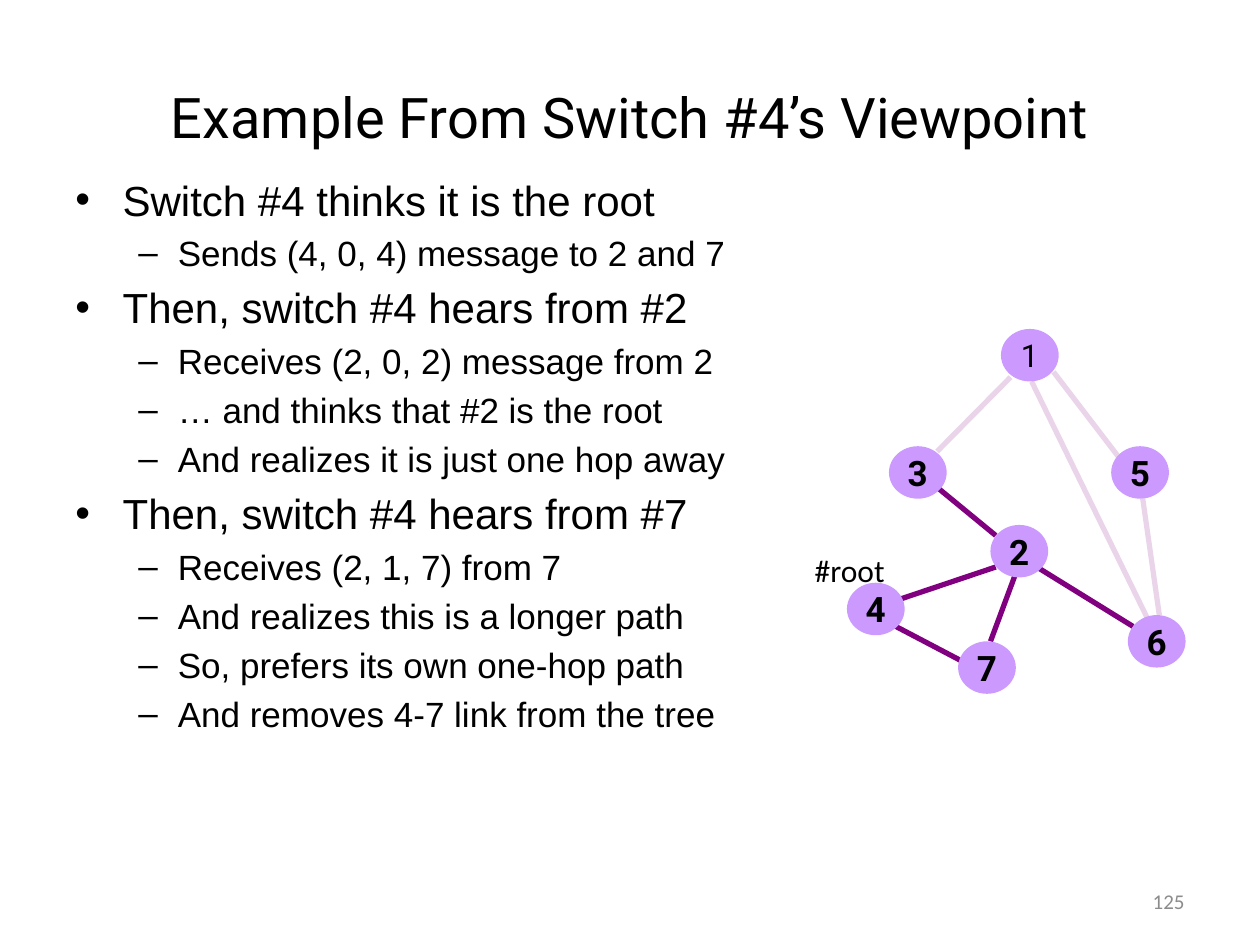
from dataclasses import dataclass

from lxml import etree
from pptx import Presentation
from pptx.dml.color import RGBColor
from pptx.enum.shapes import MSO_CONNECTOR, MSO_SHAPE
from pptx.enum.text import MSO_ANCHOR, PP_ALIGN
from pptx.oxml.ns import qn
from pptx.util import Pt

STRAIGHT = MSO_CONNECTOR.STRAIGHT
OVAL = MSO_SHAPE.OVAL
TOP, MIDDLE = MSO_ANCHOR.TOP, MSO_ANCHOR.MIDDLE
LEFT, CENTER, RIGHT = PP_ALIGN.LEFT, PP_ALIGN.CENTER, PP_ALIGN.RIGHT


@dataclass(frozen=True)
class Theme:
    ink: RGBColor = RGBColor(0x00, 0x00, 0x00)
    muted: RGBColor = RGBColor(0x8C, 0x8C, 0x8C)
    node: RGBColor = RGBColor(0xCC, 0x99, 0xFF)
    link: RGBColor = RGBColor(0x80, 0x00, 0x80)
    heading_font: str = "Roboto"
    body_font: str = "Arial"
    label_font: str = "Calibri"
    title_size: int = 32
    heading_size: int = 24
    detail_size: int = 20
    node_size: int = 20
    label_size: int = 18
    number_size: int = 12


THEME = Theme()


@dataclass(frozen=True)
class Level:
    size: int
    bullet: str
    margin: float
    hanging: float

    @property
    def space_before(self):
        return self.size * 0.2


LEVELS = (Level(THEME.heading_size, "•", 27, 27),
          Level(THEME.detail_size, "–", 58.5, 22.5))

OUTLINE = [
    ("Switch #4 thinks it is the root",
     ["Sends (4, 0, 4) message to 2 and 7"]),
    ("Then, switch #4 hears from #2",
     ["Receives (2, 0, 2) message from 2",
      "… and thinks that #2 is the root",
      "And realizes it is just one hop away"]),
    ("Then, switch #4 hears from #7",
     ["Receives (2, 1, 7) from 7",
      "And realizes this is a longer path",
      "So, prefers its own one-hop path",
      "And removes 4-7 link from the tree"]),
]

# Network geometry in points, relative to the diagram box
NODE_WIDTH, NODE_HEIGHT = 33, 30
NODES = {1: (88, 0), 2: (82, 112), 3: (24, 67), 4: (0, 145),
         5: (151, 67), 6: (160.5, 163.5), 7: (63.5, 178.5)}
FADED_LINKS = [
    (93.5, 27.5, 51.5, 70),      # 1-3
    (118, 24.5, 157, 75.5),      # 1-5
    (169, 97, 178.5, 163.5),     # 5-6
    (105.5, 30, 172, 166),       # 1-6
]
KNOWN_LINKS = [
    (51.5, 90.5, 85, 118),       # 3-2
    (108.5, 136, 163.5, 170),    # 2-6
    (30, 154.5, 85, 136),        # 4-2
    (82, 178.5, 96.5, 139.5),    # 7-2
    (67, 190.5, 27, 169.5),      # 7-4
]


def set_font(para, name, size, color, bold=False):
    para.font.name = name
    para.font.size = Pt(size)
    para.font.color.rgb = color
    para.font.bold = bold


def add_frame(page, box, anchor=TOP):
    frame = page.shapes.add_textbox(*map(Pt, box)).text_frame
    frame.word_wrap = True
    frame.vertical_anchor = anchor
    return frame


def add_label(page, box, text, font, size, color, align=LEFT, anchor=TOP):
    para = add_frame(page, box, anchor).paragraphs[0]
    para.text = text
    para.alignment = align
    set_font(para, font, size, color)


def style_bullet(para, level):
    properties = para._p.get_or_add_pPr()
    properties.set("marL", str(Pt(level.margin)))
    properties.set("indent", str(-Pt(level.hanging)))
    etree.SubElement(properties, qn("a:buFont")).set("typeface", THEME.body_font)
    etree.SubElement(properties, qn("a:buChar")).set("char", level.bullet)


def add_outline(page, box):
    frame = add_frame(page, box)
    lines = []
    for heading, details in OUTLINE:
        lines.append((heading, 0))
        lines.extend((detail, 1) for detail in details)
    for index, (text, depth) in enumerate(lines):
        level = LEVELS[depth]
        para = frame.add_paragraph() if index else frame.paragraphs[0]
        para.text = text
        para.level = depth
        style_bullet(para, level)
        if index:
            para.space_before = Pt(level.space_before)
        set_font(para, THEME.body_font, level.size, THEME.ink)


def add_link(page, left, top, ends, opacity=100):
    x1, y1, x2, y2 = ends
    link = page.shapes.add_connector(
        STRAIGHT, Pt(left + x1), Pt(top + y1), Pt(left + x2), Pt(top + y2))
    link.line.color.rgb = THEME.link
    link.line.width = Pt(3)
    properties = link._element.spPr
    if opacity < 100:
        color = properties.find(".//" + qn("a:srgbClr"))
        etree.SubElement(color, qn("a:alpha")).set("val", str(opacity * 1000))
    etree.SubElement(properties, qn("a:effectLst"))


def add_node(page, left, top, number):
    x, y = NODES[number]
    node = page.shapes.add_shape(
        OVAL, Pt(left + x), Pt(top + y), Pt(NODE_WIDTH), Pt(NODE_HEIGHT))
    node.shadow.inherit = False
    node.fill.solid()
    node.fill.fore_color.rgb = THEME.node
    node.line.fill.background()
    frame = node.text_frame
    frame.word_wrap = False
    frame.vertical_anchor = MIDDLE
    frame.margin_left = frame.margin_right = 0
    frame.margin_top = frame.margin_bottom = 0
    para = frame.paragraphs[0]
    para.text = str(number)
    para.alignment = CENTER
    top_switch = number == 1
    set_font(para, THEME.heading_font,
             THEME.label_size if top_switch else THEME.node_size,
             THEME.ink, bold=not top_switch)


def add_network(page, box):
    left, top = box[:2]
    for ends in FADED_LINKS:
        add_link(page, left, top, ends, opacity=17)
    for ends in KNOWN_LINKS:
        add_link(page, left, top, ends)
    add_label(page, (left - 25.5, top + 123.5, 58.5, 29), "#root",
              THEME.label_font, THEME.label_size, THEME.ink)
    for number in NODES:
        add_node(page, left, top, number)


def main():
    deck = Presentation()
    deck.slide_width, deck.slide_height = Pt(720), Pt(540)
    page = deck.slides.add_slide(deck.slide_layouts[6])

    # Title
    add_label(page, (36, 21.5, 648, 90), "Example From Switch #4’s Viewpoint",
              THEME.heading_font, THEME.title_size, THEME.ink, CENTER, MIDDLE)
    # Explanation and network
    add_outline(page, (36, 96, 439, 432))
    add_network(page, (484, 188, 194, 209))
    # Slide number
    add_label(page, (516, 500.5, 168, 29), "125", THEME.label_font,
              THEME.number_size, THEME.muted, RIGHT, MIDDLE)

    deck.save("out.pptx")


if __name__ == "__main__":
    main()
